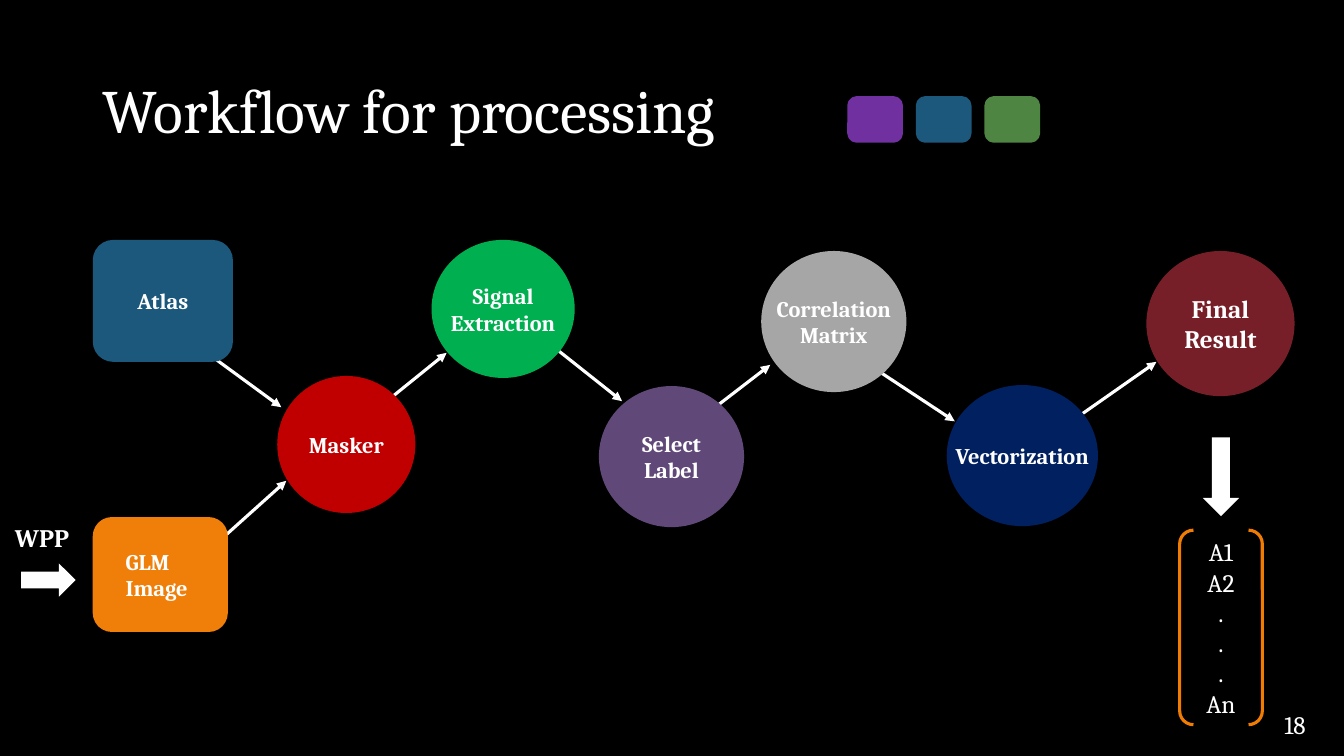
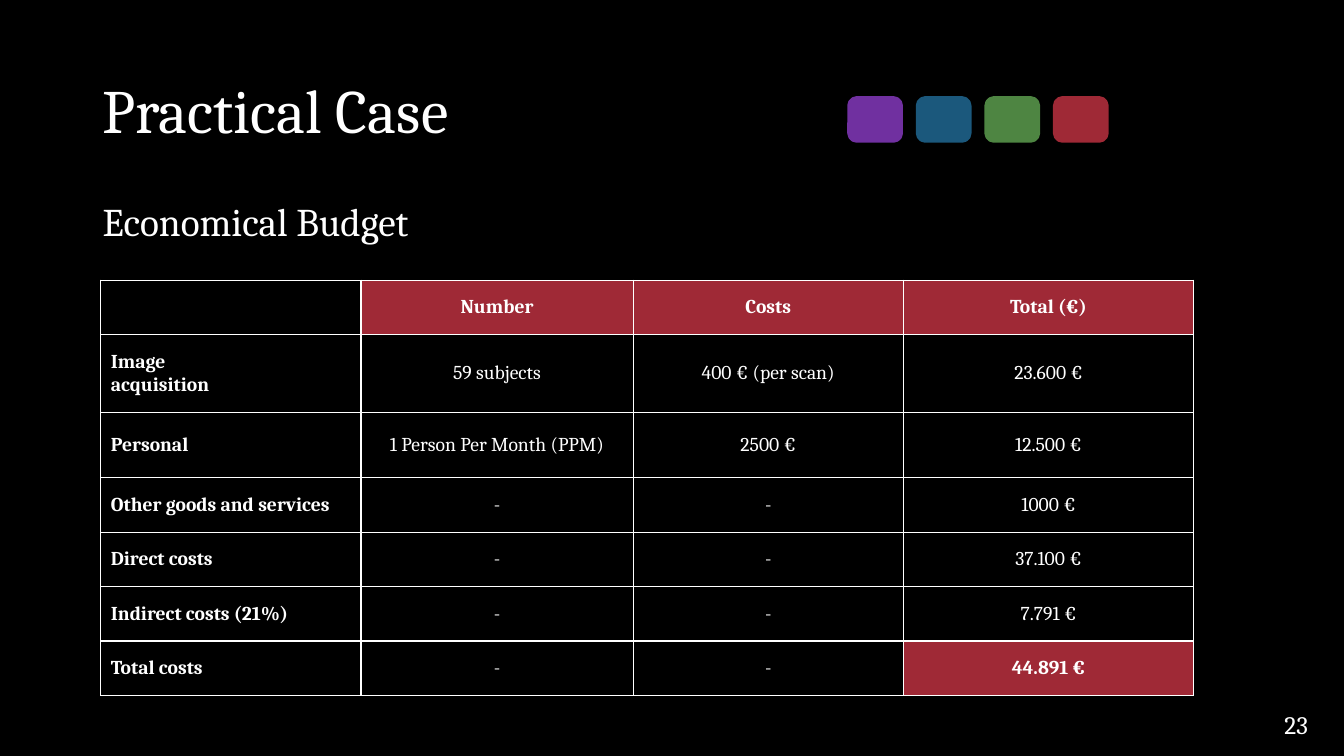
from lxml import etree
from pptx import Presentation
from pptx.dml.color import RGBColor
from pptx.enum.shapes import MSO_CONNECTOR, MSO_SHAPE
from pptx.enum.text import MSO_ANCHOR, PP_ALIGN
from pptx.oxml.ns import qn
from pptx.util import Emu, Pt

PX = 9144  # 100 px to the inch
FONT = "Cambria"
LEFT, CENTER = PP_ALIGN.LEFT, PP_ALIGN.CENTER
TOP, MIDDLE = MSO_ANCHOR.TOP, MSO_ANCHOR.MIDDLE
ROUND, CIRCLE = MSO_SHAPE.ROUNDED_RECTANGLE, MSO_SHAPE.FLOWCHART_CONNECTOR
RIGHT, DOWN = MSO_SHAPE.RIGHT_ARROW, MSO_SHAPE.DOWN_ARROW
BRACKET = MSO_SHAPE.DOUBLE_BRACKET
STRAIGHT = MSO_CONNECTOR.STRAIGHT

COLORS = {
    "black": "000000", "white": "FFFFFF", "purple": "7030A0",
    "blue": "1B587C", "green": "4E8542", "crimson": "9F2936",
    "orange": "F07F09", "amber": "F07C03", "red": "C00000",
    "emerald": "00B050", "violet": "604878", "gray": "A6A6A6",
    "navy": "002060", "maroon": "771F28",
}
CHIPS = ["purple", "blue", "green", "crimson"]

# label, outline, fill, (left, top, width, height), text format
NODES = [
    ("Atlas", ROUND, "blue", (92, 238, 139, 121), {}),
    ("GLM\nImage", ROUND, "orange", (92, 513, 134, 114),
     {"align": LEFT, "wrap": True, "inset": 27}),
    ("Masker", CIRCLE, "red", (275, 373, 137, 136), {}),
    ("Signal\nExtraction", CIRCLE, "emerald", (428, 238, 142, 137), {}),
    ("Select\nLabel", CIRCLE, "violet", (594, 383, 144, 140), {}),
    ("Correlation\nMatrix", CIRCLE, "gray", (755, 249, 144, 140), {}),
    ("Vectorization", CIRCLE, "navy", (939, 382, 150, 140), {}),
    ("Final\nResult", CIRCLE, "maroon", (1137, 249, 147, 144), {"size": 18}),
]
# from x, from y, to x, to y
LINKS = [
    (197, 344, 279, 404), (206, 547, 284, 477), (370, 409, 443, 350),
    (554, 348, 617, 398), (686, 422, 764, 362), (862, 362, 947, 418),
    (1067, 415, 1147, 359),
]
BLOCKS = [(RIGHT, (21, 559, 54, 33)), (DOWN, (1193, 434, 36, 78))]
VECTOR = "A1\nA2\n.\n.\n.\nAn"

BUDGET = [
    ("", "Number", "Costs", "Total (€)"),
    ("Image\nacquisition", "59 subjects", "400 € (per scan)", "23.600 €"),
    ("Personal", "1 Person Per Month (PPM)", "2500 €", "12.500 €"),
    ("Other goods and services", "-", "-", "1000 €"),
    ("Direct costs", "-", "-", "37.100 €"),
    ("Indirect costs (21%)", "-", "-", "7.791 €"),
    ("Total costs", "-", "-", "44.891 €"),
]
COLS = [258, 270, 268, 288]
ROWS = [54, 77, 65, 54, 54, 54, 54]


def rgb(name):
    return RGBColor.from_string(COLORS[name])


def emu(box):
    return [Emu(n * PX) for n in box]


def write(frame, text, size=18, bold=False, align=LEFT, leading=None):
    """Fill a text frame, one paragraph to each line of text."""
    for i, line in enumerate(text.split("\n")):
        para = frame.add_paragraph() if i else frame.paragraphs[0]
        para.alignment = align
        if leading:
            para.line_spacing = leading
        run = para.add_run()
        run.text = line
        font = run.font
        font.name, font.size, font.bold = FONT, Pt(size), bold
        font.color.rgb = rgb("white")


def label(slide, text, box, anchor=TOP, **style):
    frame = slide.shapes.add_textbox(*emu(box)).text_frame
    frame.word_wrap = True
    frame.vertical_anchor = anchor
    write(frame, text, **style)


def draw(slide, kind, box, fill=None, line=None, width=2.25):
    shape = slide.shapes.add_shape(kind, *emu(box))
    shape.shadow.inherit = False
    if fill:
        shape.fill.solid()
        shape.fill.fore_color.rgb = rgb(fill)
    else:
        shape.fill.background()
    if line:
        shape.line.color.rgb = rgb(line)
        shape.line.width = Pt(width)
    else:
        shape.line.fill.background()
    return shape


def inner(shape, text, wrap=False, inset=0, **style):
    """Write the text inside a shape, centred unless told otherwise."""
    frame = shape.text_frame
    frame.word_wrap = wrap
    frame.vertical_anchor = MIDDLE
    frame.margin_left = Emu(inset * PX)
    frame.margin_right = frame.margin_top = frame.margin_bottom = 0
    write(frame, text, **{"align": CENTER, **style})


def link(slide, ends):
    line = slide.shapes.add_connector(STRAIGHT, *emu(ends))
    line.line.color.rgb = rgb("white")
    line.line.width = Pt(2.25)
    tail = etree.SubElement(line.line._get_or_add_ln(), qn("a:tailEnd"))
    tail.set("type", "triangle")
    etree.SubElement(line._element.spPr, qn("a:effectLst"))


def border(cell):
    props = cell._tc.get_or_add_tcPr()
    for side in "LRTB":
        edge = etree.SubElement(props, qn("a:ln" + side), w=str(Pt(1)))
        fill = etree.SubElement(edge, qn("a:solidFill"))
        etree.SubElement(fill, qn("a:srgbClr"), val=COLORS["white"])


def start(deck, title, page, chips):
    """Add a slide with the shared background, title, number and chips."""
    slide = deck.slides.add_slide(deck.slide_layouts[6])
    slide.background.fill.solid()
    slide.background.fill.fore_color.rgb = rgb("black")
    label(slide, title, (92, 40, 1150, 145), MIDDLE, size=44, leading=0.9)
    label(slide, page, (1264, 699, 55, 40))
    for i, color in enumerate(CHIPS[:chips]):
        draw(slide, ROUND, (843 + 68 * i, 98, 50, 41), color, color, 3.78)
    return slide


def workflow(deck):
    slide = start(deck, "Workflow for processing", "18", 3)
    for ends in LINKS:
        link(slide, ends)
    for text, kind, color, box, style in NODES:
        node = draw(slide, kind, box, color)
        inner(node, text, **{"size": 16, "bold": True, **style})
    for kind, box in BLOCKS:
        draw(slide, kind, box, "white")
    label(slide, "WPP", (5, 513, 85, 40), bold=True)
    vector = draw(slide, BRACKET, (1170, 526, 82, 193), line="amber")
    inner(vector, VECTOR)


def budget(deck):
    slide = start(deck, "Practical Case", "23", 4)
    label(slide, "Economical Budget", (92, 200, 379, 49), size=28, leading=0.8)
    box = (100, 278, sum(COLS), sum(ROWS))
    table = slide.shapes.add_table(len(ROWS), len(COLS), *emu(box)).table
    table.first_row = table.horz_banding = False
    for col, width in zip(table.columns, COLS):
        col.width = Emu(width * PX)
    for row, height in zip(table.rows, ROWS):
        row.height = Emu(height * PX)
    last = len(ROWS) - 1, len(COLS) - 1
    for r, texts in enumerate(BUDGET):
        for c, text in enumerate(texts):
            cell = table.cell(r, c)
            accent = (r == 0 and c > 0) or (r, c) == last
            border(cell)
            cell.fill.solid()
            cell.fill.fore_color.rgb = rgb("crimson" if accent else "black")
            cell.vertical_anchor = MIDDLE
            if text:
                write(cell.text_frame, text, size=14, bold=accent or c == 0,
                      align=CENTER if c else LEFT)


def main():
    deck = Presentation()
    deck.slide_width, deck.slide_height = emu((1333, 750))
    workflow(deck)
    budget(deck)
    deck.save("out.pptx")


if __name__ == "__main__":
    main()
